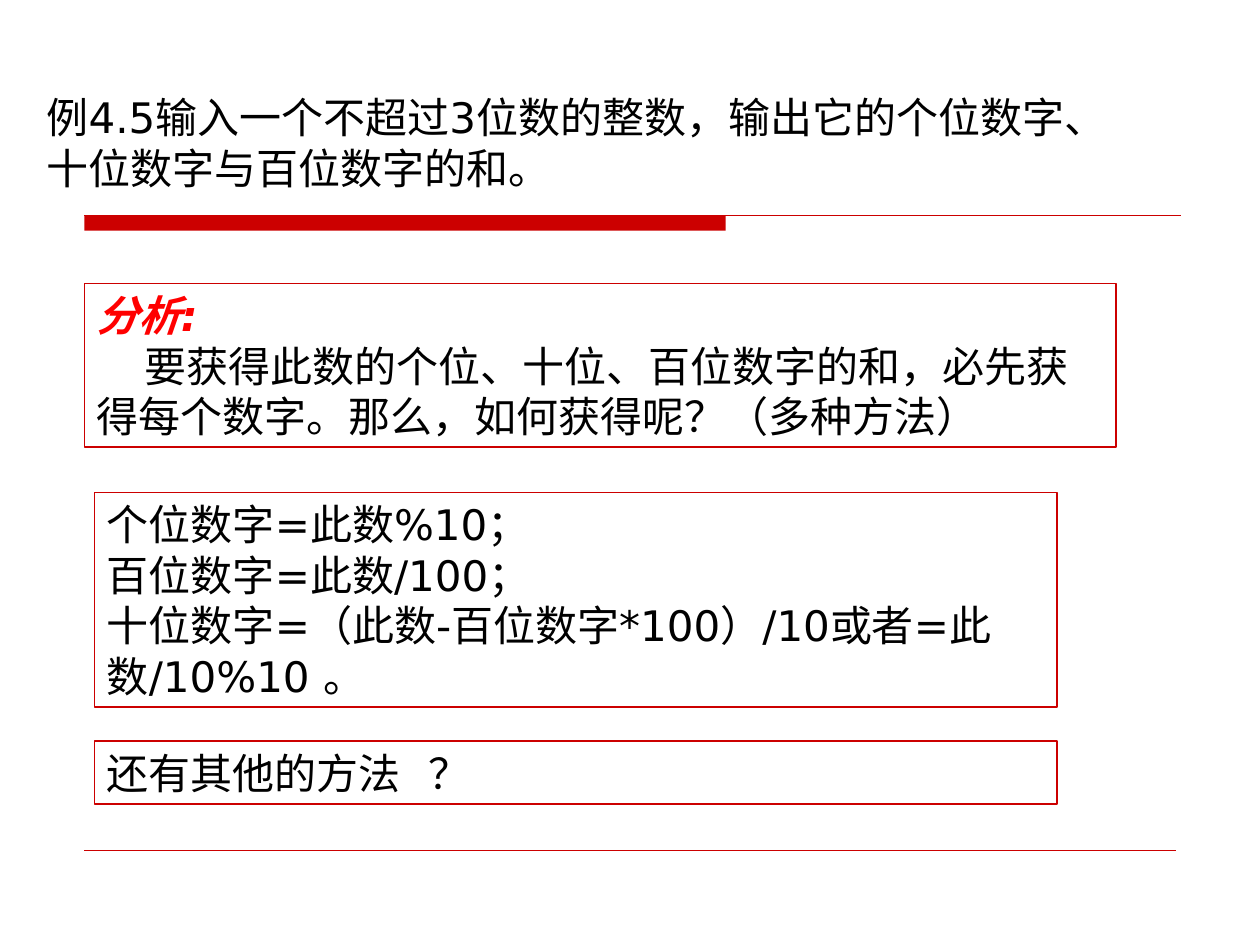
from lxml import etree
from pptx import Presentation
from pptx.dml.color import RGBColor
from pptx.enum import shapes, text
from pptx.oxml import ns
from pptx.util import Inches, Pt

FONT = "DejaVu Sans"
RED, BLACK, HOT = "CC0000", "000000", "FF0000"


def color(code):
    return RGBColor.from_string(code)


def add_run(para, words, ink=BLACK, strong=False):
    run = para.add_run()
    run.text = words
    font = run.font
    font.name, font.size = FONT, Pt(24)
    font.bold = font.italic = strong
    font.color.rgb = color(ink)


def set_frame(frame):
    frame.word_wrap = True
    frame.auto_size = text.MSO_AUTO_SIZE.NONE
    frame.vertical_anchor = text.MSO_ANCHOR.TOP
    frame.margin_left = frame.margin_right = Inches(0.1)
    frame.margin_top = frame.margin_bottom = Inches(0.05)


def add_rule(slide, left, top, right, weight):
    line = slide.shapes.add_connector(
        shapes.MSO_CONNECTOR.STRAIGHT,
        Inches(left), Inches(top), Inches(right), Inches(top))
    line.line.color.rgb = color(RED)
    line.line.width = Pt(weight)
    etree.SubElement(line._element.spPr, ns.qn("a:effectLst"))


def add_rect(slide, left, top, width, height):
    rect = slide.shapes.add_shape(
        shapes.MSO_SHAPE.RECTANGLE,
        Inches(left), Inches(top), Inches(width), Inches(height))
    rect.shadow.inherit = False
    return rect


def add_title(slide, left, top, width, height, words):
    title = slide.shapes.title
    title.left, title.top = Inches(left), Inches(top)
    title.width, title.height = Inches(width), Inches(height)
    set_frame(title.text_frame)
    para = title.text_frame.paragraphs[0]
    para.alignment = text.PP_ALIGN.LEFT
    add_run(para, words)


def add_band(slide, left, top, width, height):
    """Thick bar with a thin rule running on to the right."""
    bar = add_rect(slide, left, top, 5.09, height)
    bar.fill.solid()
    bar.fill.fore_color.rgb = color(RED)
    bar.line.fill.background()
    add_rule(slide, left, top, left + width, 0.75)


def add_box(slide, left, top, width, height, lines):
    """Red-framed box; returns its paragraphs."""
    box = add_rect(slide, left, top, width, height)
    box.fill.background()
    box.line.color.rgb = color(RED)
    box.line.width = Pt(1)
    frame = box.text_frame
    set_frame(frame)
    for i, (words, ink, strong) in enumerate(lines):
        para = frame.add_paragraph() if i else frame.paragraphs[0]
        para.alignment = text.PP_ALIGN.LEFT
        add_run(para, words, ink, strong)
    return frame.paragraphs


def plain(*lines):
    return [(words, BLACK, False) for words in lines]


def main():
    deck = Presentation()
    deck.slide_width, deck.slide_height = Inches(10), Inches(7.5)
    slide = deck.slides.add_slide(deck.slide_layouts[5])

    # Header and footer rules
    add_band(slide, 0.67, 1.71, 8.7, 0.12)
    add_rule(slide, 0.67, 6.75, 9.33, 0.25)

    # Title
    add_title(slide, 0.27, 0.68, 8.82, 0.9,
              "例4.5输入一个不超过3位数的整数，输出它的个位数字、十位数字与百位数字的和。")

    # Analysis, with an indented second paragraph
    paras = add_box(slide, 0.67, 2.25, 8.19, 1.3, [
        ("分析:", HOT, True),
        *plain("要获得此数的个位、十位、百位数字的和，必先获得每个数字。"
               "那么，如何获得呢？（多种方法）")])
    paras[1]._p.get_or_add_pPr().set("indent", str(Inches(0.38)))

    # Formulas
    add_box(slide, 0.75, 3.91, 7.64, 1.7, plain(
        "个位数字=此数%10；",
        "百位数字=此数/100；",
        "十位数字=（此数-百位数字*100）/10或者=此数/10%10 。"))

    # Question, its mark set off by a tab stop
    paras = add_box(slide, 0.75, 5.88, 7.64, 0.5, plain("还有其他的方法\t？"))
    tabs = etree.SubElement(paras[0]._p.get_or_add_pPr(), ns.qn("a:tabLst"))
    etree.SubElement(tabs, ns.qn("a:tab"), pos=str(Inches(2.55)), algn="l")

    deck.save("out.pptx")


if __name__ == "__main__":
    main()
